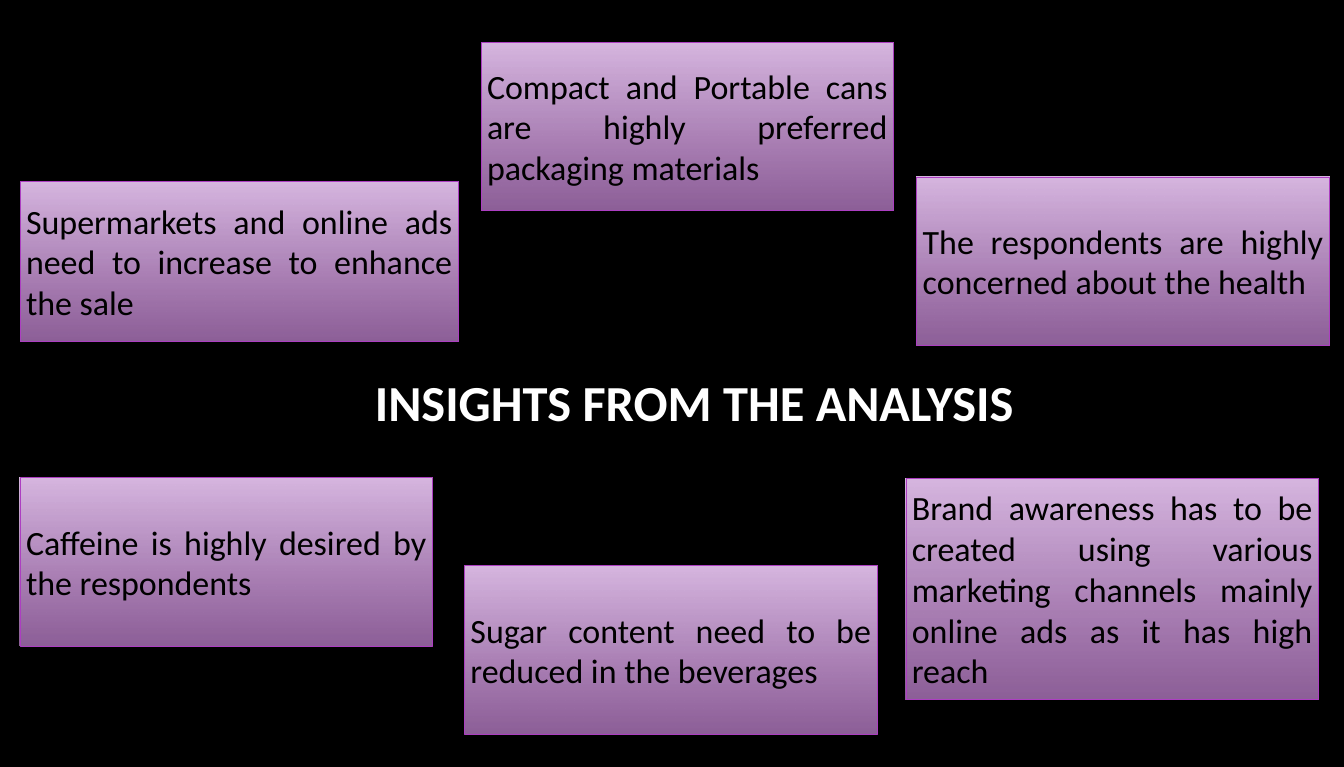
from dataclasses import dataclass

from lxml.etree import SubElement
from pptx import Presentation
from pptx.dml.color import RGBColor
from pptx.enum.shapes import MSO_SHAPE
from pptx.enum.text import MSO_ANCHOR, MSO_AUTO_SIZE, PP_ALIGN
from pptx.oxml.ns import qn
from pptx.slide import Slide
from pptx.text.text import TextFrame
from pptx.util import Cm, Pt

WIDTH, HEIGHT = Cm(55.85), Cm(31.86)
FONT = "Calibri"
COLOURS = {
    "background": "000000",
    "heading": "FFFFFF",
    "insight": "000000",
    "lilac": "D8B7E1",
    "purple": "BF82CE",
    "border": "AC3EC1",
}
PURPLE_OPACITY = 74


@dataclass
class Insight:
    """A boxed finding, placed in percent of the slide's width and height."""
    text: str
    left: float
    top: float
    width: float = 30.7
    height: float = 21.93


INSIGHTS = [
    Insight("Supermarkets and online ads need to increase to enhance the sale ",
            1.49, 23.68, width=32.61, height=20.81),
    Insight("Compact and Portable cans are highly preferred packaging materials ",
            35.79, 5.5),
    Insight("The respondents are highly concerned about the health ",
            68.21, 23.06),
    Insight("Brand awareness has to be created using various marketing channels "
            "mainly online ads as it has high reach",
            67.4, 62.34, height=28.87),
    Insight("Caffeine is highly desired by the respondents ", 1.49, 62.28),
    Insight("Sugar content need to be reduced in the beverages ", 34.56, 73.76),
]


def colour(name: str) -> RGBColor:
    return RGBColor.from_string(COLOURS[name])


def place(left: float, top: float, width: float, height: float) -> list[int]:
    """Turn percentages of the slide into lengths."""
    return [round(share * side / 100) for share, side in
            zip((left, top, width, height), (WIDTH, HEIGHT, WIDTH, HEIGHT))]


def write(frame: TextFrame, text: str, size: float, ink: str,
          alignment: PP_ALIGN, bold: bool = False) -> None:
    frame.text = text
    frame.word_wrap = True
    frame.auto_size = MSO_AUTO_SIZE.NONE
    frame.vertical_anchor = MSO_ANCHOR.MIDDLE
    paragraph = frame.paragraphs[0]
    paragraph.alignment = alignment
    font = paragraph.font
    font.name, font.size, font.bold = FONT, Pt(size), bold
    font.color.rgb = colour(ink)


def draw_insight(slide: Slide, insight: Insight) -> None:
    box = slide.shapes.add_shape(
        MSO_SHAPE.RECTANGLE,
        *place(insight.left, insight.top, insight.width, insight.height))
    box.shadow.inherit = False
    box.line.color.rgb = colour("border")
    box.line.width = Pt(0.75)

    # Gradient from the top down to a translucent purple
    box.fill.gradient()
    box.fill.gradient_angle = 270
    for stop, name in zip(box.fill.gradient_stops, ("lilac", "purple")):
        stop.color.rgb = colour(name)
    purple = box.element.spPr.xpath("a:gradFill/a:gsLst/a:gs[last()]/a:srgbClr")[0]
    SubElement(purple, qn("a:alpha"), val=str(PURPLE_OPACITY * 1000))

    write(box.text_frame, insight.text, 40, "insight", PP_ALIGN.JUSTIFY)


def main() -> None:
    deck = Presentation()
    deck.slide_width, deck.slide_height = WIDTH, HEIGHT
    slide = deck.slides.add_slide(deck.slide_layouts.get_by_name("Title Only"))
    slide.background.fill.solid()
    slide.background.fill.fore_color.rgb = colour("background")

    # Heading across the middle
    heading = slide.shapes.title
    heading.left, heading.top, heading.width, heading.height = place(
        9.82, 44.74, 84.54, 15.23)
    write(heading.text_frame, "INSIGHTS FROM THE ANALYSIS ", 59.4, "heading",
          PP_ALIGN.CENTER, bold=True)

    # Findings around it
    for insight in INSIGHTS:
        draw_insight(slide, insight)

    deck.save("out.pptx")


if __name__ == "__main__":
    main()
